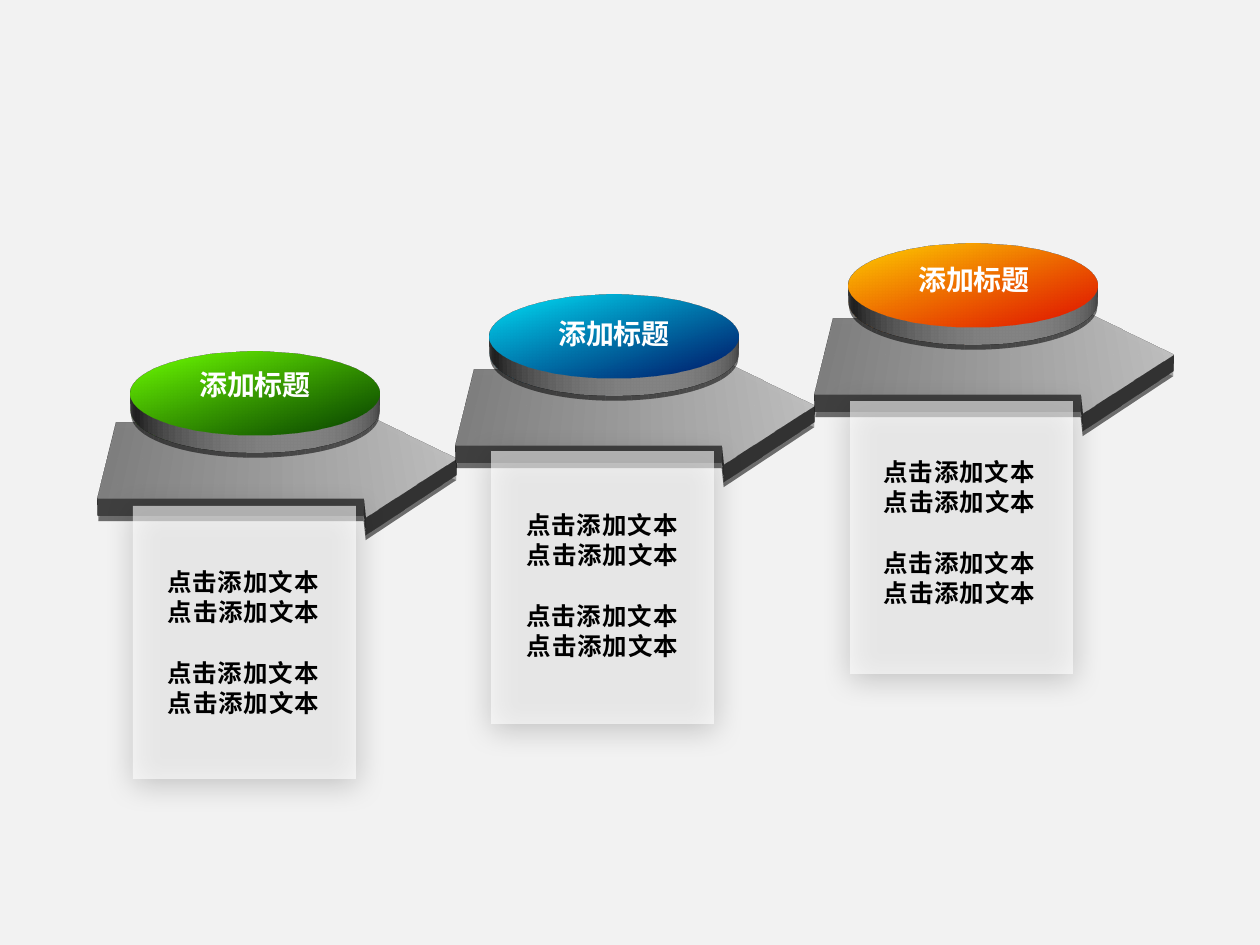
"""Build a slide of three rising arrow steps, each with a disc and a text panel."""
from dataclasses import dataclass

from lxml.etree import SubElement
from pptx import Presentation
from pptx.dml.color import RGBColor as Rgb
from pptx.enum.shapes import MSO_SHAPE as Kind
from pptx.enum.text import MSO_ANCHOR as Anchor, PP_ALIGN as Align
from pptx.oxml.ns import qn
from pptx.util import Pt

UNIT = 914400 / 126
FONT = "Noto Sans CJK SC"
WHITE = Rgb(0xFF, 0xFF, 0xFF)
BLACK = Rgb(0, 0, 0)
BACK = Rgb(0xF2, 0xF2, 0xF2)
STEEL = Rgb(0x80, 0x80, 0x80)
SILVER = Rgb(0xBF, 0xBF, 0xBF)
TILT = {"lat": "17373600", "lon": "0", "rev": "0"}

Point = tuple[int, int]
Fill = tuple[Rgb, Rgb]


@dataclass(frozen=True)
class Step:
    arrow: Point
    disc: Point
    title: Point
    panel: Point
    body: Point
    tint: Fill


STEPS = (
    Step((108, 297), (131, 267), (133, 361), (133, 506), (145, 561),
         (Rgb(0x6E, 0xFF, 0x01), Rgb(0x0F, 0x50, 0x00))),
    Step((466, 244), (490, 210), (492, 310), (491, 451), (504, 504),
         (Rgb(0x00, 0xDF, 0xF6), Rgb(0x00, 0x27, 0x74))),
    Step((825, 193), (849, 159), (852, 256), (850, 401), (861, 451),
         (Rgb(0xFF, 0xCF, 0x01), Rgb(0xE2, 0x20, 0x00))),
)


def px(num: int) -> int:
    return round(num * UNIT)


def add(slide, kind: Kind, at: Point, size: Point):
    shape = slide.shapes.add_shape(kind, *map(px, at + size))
    shape.line.fill.background()
    return shape


def blend(shape, fill: Fill, turn: int, stop: float) -> None:
    shape.fill.gradient()
    shape.fill.gradient_angle = turn
    for mark, tone, pos in zip(shape.fill.gradient_stops, fill, (0, stop)):
        mark.color.rgb = tone
        mark.position = pos
    shape._element.spPr.find(qn("a:gradFill")).set("rotWithShape", "0")


def shade(shape) -> None:
    shape.shadow.inherit = False
    glow = SubElement(shape._element.spPr.find(qn("a:effectLst")),
                      qn("a:outerShdw"), blurRad=str(Pt(17.8)),
                      dist=str(Pt(3)), dir="5220000", algn="ctr",
                      rotWithShape="0")
    tone = SubElement(glow, qn("a:srgbClr"), val=str(BLACK))
    SubElement(tone, qn("a:alpha"), val="33000")


def raise_up(shape, side: Rgb | None = None) -> None:
    props = shape._element.spPr
    scene = SubElement(props, qn("a:scene3d"))
    lens = SubElement(scene, qn("a:camera"), prst="perspectiveRelaxed")
    SubElement(lens, qn("a:rot"), TILT)
    SubElement(scene, qn("a:lightRig"), rig="threePt", dir="t")
    form = SubElement(props, qn("a:sp3d"), extrusionH=str(Pt(10)))
    if side is not None:
        tone = SubElement(form, qn("a:extrusionClr"))
        SubElement(tone, qn("a:srgbClr"), val=str(side))


def draw_arrow(slide, at: Point) -> None:
    shape = add(slide, Kind.LEFT_ARROW, at, (348, 323))
    shape.adjustments[0] = 0.7
    shape.adjustments[1] = 0.3
    shape._element.spPr.find(qn("a:xfrm")).set("flipH", "1")
    blend(shape, (STEEL, SILVER), 0, 1)
    shade(shape)
    raise_up(shape)


def draw_disc(slide, at: Point, tint: Fill) -> None:
    shape = add(slide, Kind.OVAL, at, (248, 248))
    blend(shape, tint, 315, 0.9)
    shade(shape)
    raise_up(shape, WHITE)


def draw_panel(slide, at: Point) -> None:
    shape = add(slide, Kind.RECTANGLE, at, (223, 273))
    shape.fill.solid()
    shape.fill.fore_color.rgb = WHITE
    tone = shape._element.spPr.find(qn("a:solidFill"))[0]
    SubElement(tone, qn("a:alpha"), val="60000")
    shade(shape)


def write(slide, at: Point, size: Point, text: str, points: int,
          lead: float, tone: Rgb, gap: int = 0) -> None:
    box = slide.shapes.add_textbox(*map(px, at + size))
    frame = box.text_frame
    frame.word_wrap = True
    frame.vertical_anchor = Anchor.TOP
    para = frame.paragraphs[0]
    para.alignment = Align.CENTER
    para.line_spacing = Pt(lead)
    run = para.add_run()
    run.text = text
    for key, val in {"name": FONT, "size": Pt(points), "bold": True}.items():
        setattr(run.font, key, val)
    run.font.color.rgb = tone
    props = run._r.get_or_add_rPr()
    SubElement(props, qn("a:ea"), typeface=FONT)
    if gap:
        props.set("spc", str(gap))


def main() -> None:
    deck = Presentation()
    deck.slide_width, deck.slide_height = px(1260), px(945)
    slide = deck.slides.add_slide(deck.slide_layouts[6])
    slide.background.fill.solid()
    slide.background.fill.fore_color.rgb = BACK
    for step in STEPS:
        draw_arrow(slide, step.arrow)
        draw_disc(slide, step.disc, step.tint)
        write(slide, step.title, (244, 47), "添加标题", 16, 19.4, WHITE)
    for step in STEPS:
        draw_panel(slide, step.panel)
    for step in STEPS:
        left, top = step.body
        for drop in (0, 91):
            write(slide, (left, top + drop), (197, 72),
                  "点击添加文本点击添加文本", 14, 16.9, BLACK, 50)
    deck.save("out.pptx")


if __name__ == "__main__":
    main()
